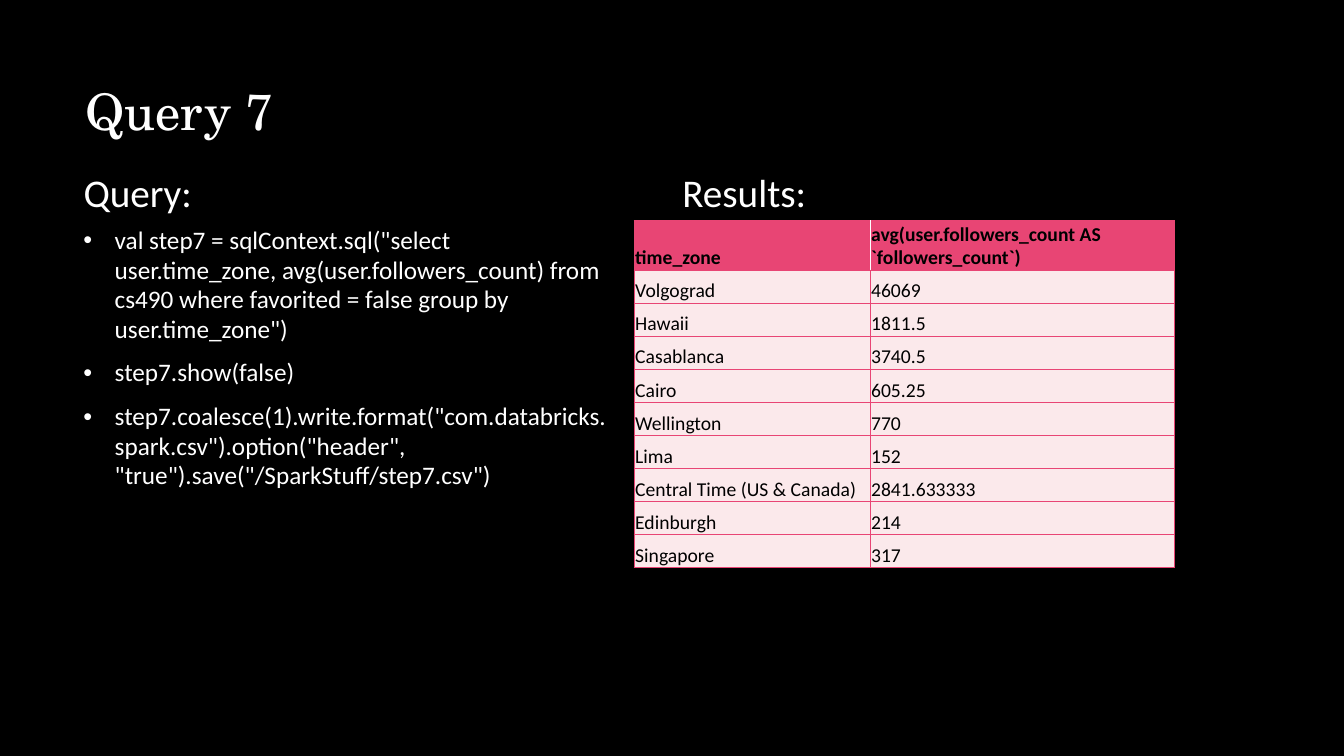
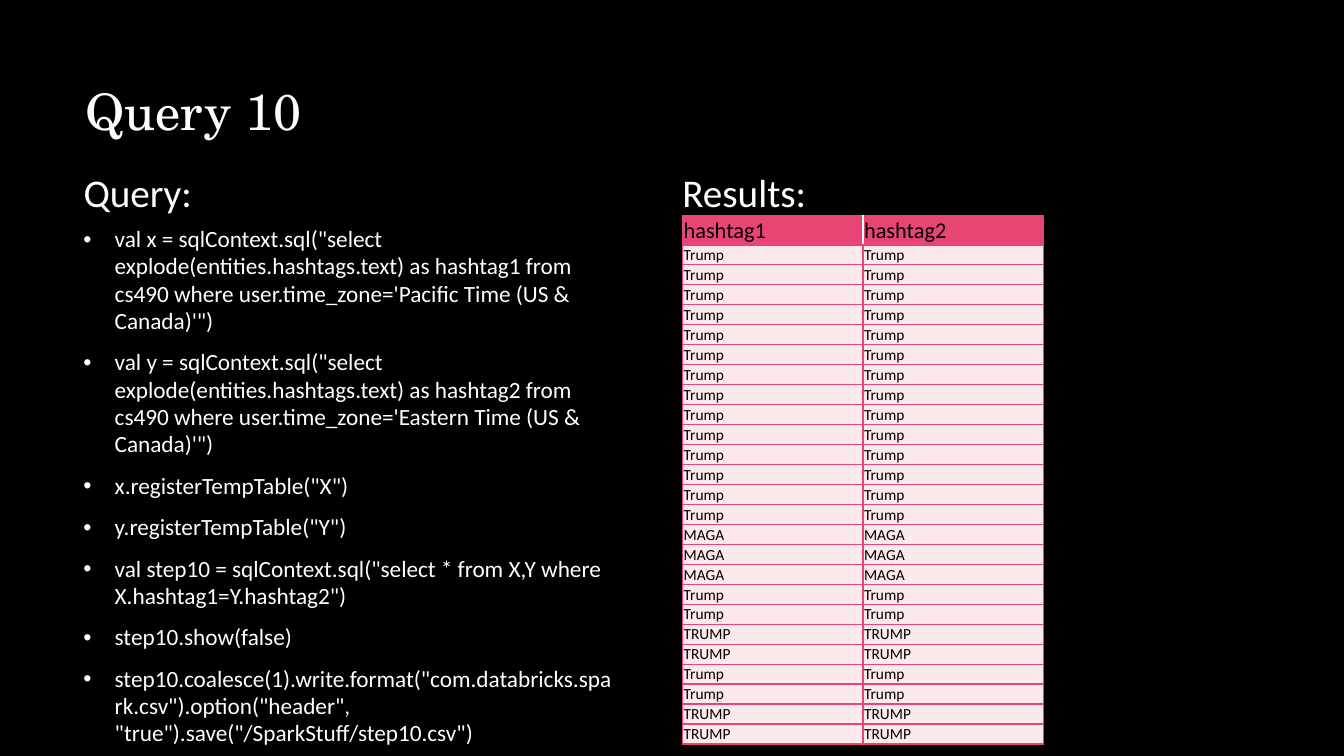
from dataclasses import dataclass

import pptx
import pptx.dml.color
import pptx.enum.text
import pptx.oxml
import pptx.oxml.ns
import pptx.util
from pptx.util import Inches

# Shared look
BLACK, WHITE, PINK, PALE_PINK = "000000", "FFFFFF", "E84574", "FBE9EB"
TITLE_FONT, BODY_FONT = "TeX Gyre Schola", "Calibri"
ANCHOR = pptx.enum.text.MSO_ANCHOR
BULLET_INDENT = Inches(0.31)


@dataclass
class Box:
    left: float
    top: float
    width: float
    height: float


TITLE_BOX = Box(0.75, 0.67, 11.08, 0.84)
QUERY_HEADING_BOX = Box(0.73, 1.56, 5.15, 0.63)
QUERY_BOX = Box(0.73, 2.19, 5.46, 5.14)
RESULTS_HEADING_BOX = Box(6.67, 1.56, 5.16, 0.63)


@dataclass
class TextStyle:
    size: float
    font: str = BODY_FONT
    color: str = WHITE
    bold: bool = False


TITLE_STYLE = TextStyle(36, TITLE_FONT)
HEADING_STYLE = TextStyle(28)


@dataclass
class Results:
    left: float
    top: float
    column_widths: list[float]
    header_height: float
    body_height: float
    header_style: TextStyle
    body_style: TextStyle
    header: tuple[str, str]
    records: list[tuple[str, str]]


@dataclass
class QuerySlide:
    title: str
    query_size: float
    statements: list[str]
    results: Results


def rgb(color: str) -> pptx.dml.color.RGBColor:
    return pptx.dml.color.RGBColor.from_string(color)


def add_run(paragraph, text: str, style: TextStyle) -> None:
    run = paragraph.add_run()
    run.text = text
    run.font.size = pptx.util.Pt(style.size)
    run.font.name = style.font
    run.font.bold = style.bold
    run.font.color.rgb = rgb(style.color)


def xml(markup: str):
    tag, rest = markup.split(" ", 1)
    return pptx.oxml.parse_xml(f"<{tag} {pptx.oxml.ns.nsdecls('a')} {rest}")


def add_bullet(paragraph) -> None:
    properties = paragraph._p.get_or_add_pPr()
    properties.set("marL", str(BULLET_INDENT))
    properties.set("indent", str(-BULLET_INDENT))
    properties.append(xml(f'a:buClr ><a:srgbClr val="{WHITE}"/></a:buClr>'))
    properties.append(xml('a:buFont typeface="Arial"/>'))
    properties.append(xml('a:buChar char="•"/>'))


def add_text(slide, box: Box, lines: list[str], style: TextStyle,
             anchor: ANCHOR, bulleted: bool = False) -> None:
    frame = slide.shapes.add_textbox(
        Inches(box.left), Inches(box.top),
        Inches(box.width), Inches(box.height)).text_frame
    frame.word_wrap = True
    frame.vertical_anchor = anchor
    for index, line in enumerate(lines):
        paragraph = frame.add_paragraph() if index else frame.paragraphs[0]
        if bulleted:
            add_bullet(paragraph)
            paragraph.space_after = pptx.util.Pt(10)
            paragraph.line_spacing = 0.98
        add_run(paragraph, line, style)


def set_borders(cell, left: str, right: str) -> None:
    sides = {"lnL": left, "lnR": right, "lnT": PINK, "lnB": PINK}
    for index, (side, color) in enumerate(sides.items()):
        cell._tc.get_or_add_tcPr().insert(index, xml(
            f'a:{side} w="12700"><a:solidFill><a:srgbClr val="{color}"/>'
            f"</a:solidFill></a:{side}>"))


def add_results(slide, results: Results) -> None:
    rows = [results.header, *results.records]
    table = slide.shapes.add_table(
        len(rows), len(results.header),
        Inches(results.left), Inches(results.top),
        Inches(sum(results.column_widths)),
        Inches(results.header_height + results.body_height)).table
    table.horz_banding = False
    for column, width in zip(table.columns, results.column_widths):
        column.width = Inches(width)
    record_height = results.body_height / len(results.records)
    for row_index, values in enumerate(rows):
        is_header = row_index == 0
        table.rows[row_index].height = Inches(
            results.header_height if is_header else record_height)
        style = results.header_style if is_header else results.body_style
        divider = WHITE if is_header else PINK
        for column_index, value in enumerate(values):
            cell = table.cell(row_index, column_index)
            cell.margin_left = cell.margin_right = cell.margin_top = Inches(0.01)
            cell.margin_bottom = 0
            cell.vertical_anchor = ANCHOR.BOTTOM
            cell.fill.solid()
            cell.fill.fore_color.rgb = rgb(PINK if is_header else PALE_PINK)
            set_borders(cell,
                        left=divider if column_index else PINK,
                        right=PINK if column_index else divider)
            add_run(cell.text_frame.paragraphs[0], value, style)


def add_query_slide(deck, content: QuerySlide) -> None:
    slide = deck.slides.add_slide(deck.slide_layouts[6])
    slide.background.fill.solid()
    slide.background.fill.fore_color.rgb = rgb(BLACK)
    add_text(slide, TITLE_BOX, [content.title], TITLE_STYLE, ANCHOR.MIDDLE)
    add_text(slide, QUERY_HEADING_BOX, ["Query:"], HEADING_STYLE, ANCHOR.BOTTOM)
    add_text(slide, QUERY_BOX, content.statements,
             TextStyle(content.query_size), ANCHOR.TOP, bulleted=True)
    add_text(slide, RESULTS_HEADING_BOX, ["Results:"], HEADING_STYLE, ANCHOR.BOTTOM)
    add_results(slide, content.results)


# Followers by time zone
QUERY_7 = QuerySlide(
    title="Query 7",
    query_size=18,
    statements=[
        'val step7 = sqlContext.sql("select user.time_zone, '
        'avg(user.followers_count) from cs490 where favorited = false '
        'group by user.time_zone")',
        "step7.show(false)",
        'step7.coalesce(1).write.format("com.databricks.spark.csv")'
        '.option("header", "true").save("/SparkStuff/step7.csv")',
    ],
    results=Results(
        left=6.29, top=2.19, column_widths=[2.34, 3.02],
        header_height=0.49, body_height=2.95,
        header_style=TextStyle(14, color=BLACK, bold=True),
        body_style=TextStyle(14, color=BLACK),
        header=("time_zone", "avg(user.followers_count AS `followers_count`)"),
        records=[
            ("Volgograd", "46069"),
            ("Hawaii", "1811.5"),
            ("Casablanca", "3740.5"),
            ("Cairo", "605.25"),
            ("Wellington", "770"),
            ("Lima", "152"),
            ("Central Time (US & Canada)", "2841.633333"),
            ("Edinburgh", "214"),
            ("Singapore", "317"),
        ]))

# Hashtags shared by two time zones
HASHTAG_RUNS = [("Trump", 14), ("MAGA", 3), ("Trump", 2),
                ("TRUMP", 2), ("Trump", 2), ("TRUMP", 2)]
QUERY_10 = QuerySlide(
    title="Query 10",
    query_size=16.6,
    statements=[
        *(f'val {name} = sqlContext.sql("select explode(entities.hashtags.text) '
          f"as {hashtag} from cs490 where user.time_zone="
          f"'{zone} Time (US & Canada)'\")"
          for name, hashtag, zone in [("x", "hashtag1", "Pacific"),
                                      ("y", "hashtag2", "Eastern")]),
        'x.registerTempTable("X")',
        'y.registerTempTable("Y")',
        'val step10 = sqlContext.sql("select * from X,Y where '
        'X.hashtag1=Y.hashtag2")',
        "step10.show(false)",
        'step10.coalesce(1).write.format("com.databricks.spark.csv")'
        '.option("header", "true").save("/SparkStuff/step10.csv")',
    ],
    results=Results(
        left=6.77, top=2.14, column_widths=[1.79, 1.79],
        header_height=0.29, body_height=4.96,
        header_style=TextStyle(16, color=BLACK),
        body_style=TextStyle(11, color=BLACK),
        header=("hashtag1", "hashtag2"),
        records=[(hashtag, hashtag)
                 for hashtag, count in HASHTAG_RUNS for _ in range(count)]))


def main() -> None:
    deck = pptx.Presentation()
    deck.slide_width, deck.slide_height = Inches(13.33), Inches(7.5)
    for content in (QUERY_7, QUERY_10):
        add_query_slide(deck, content)
    deck.save("out.pptx")


if __name__ == "__main__":
    main()
